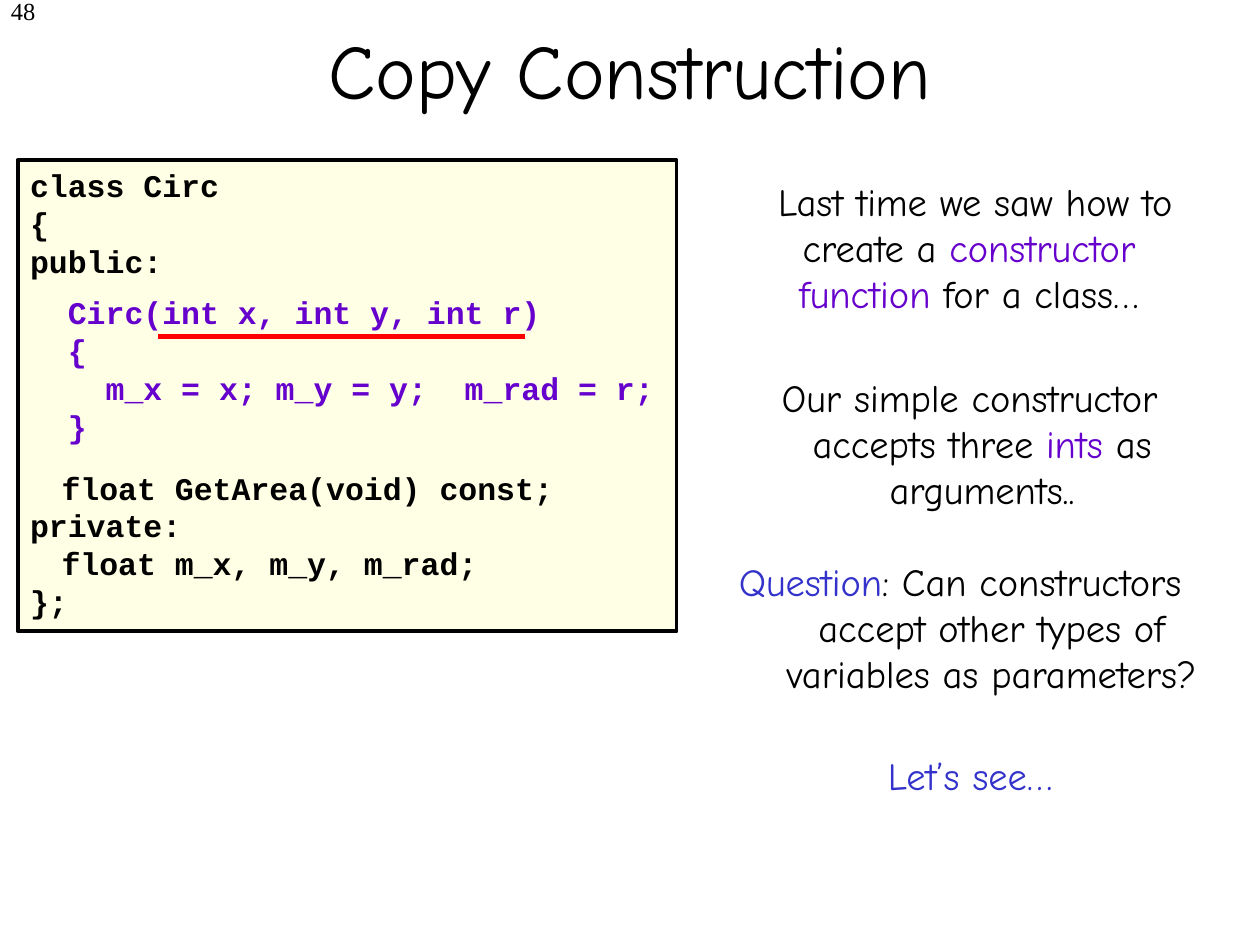
import pptx
import pptx.util
import pptx.dml.color
import pptx.enum.shapes
import pptx.enum.text
import pptx.oxml
from pptx.util import Inches, Pt

COLORS = {"black": "000000", "purple": "6600CC", "blue": "3333CC",
          "cream": "FFFFE5", "red": "FF0000"}
ALIGN = pptx.enum.text.PP_ALIGN
ANCHOR = pptx.enum.text.MSO_ANCHOR
SHAPES = pptx.enum.shapes.MSO_SHAPE
CHAR = 0.15  # width of one 18 pt code character, in inches


def rgb(name):
    return pptx.dml.color.RGBColor.from_string(COLORS[name])


def box(*lengths):
    return [Inches(v) for v in lengths]


class Deck:
    body_font, code_font, number_font = "Comic Neue", "Courier New", "Times New Roman"

    def __init__(self):
        self.prs = pptx.Presentation()
        self.prs.slide_width, self.prs.slide_height = box(10, 7.5)
        self.s = self.prs.slides.add_slide(self.prs.slide_layouts[5])

    def run(self, p, text, font, size, color="black", bold=False):
        r = p.add_run()
        r.text = text
        r.font.name, r.font.size, r.font.bold = font, Pt(size), bold
        r.font.color.rgb = rgb(color)

    def indent(self, p, left, first=0):
        pPr = p._p.get_or_add_pPr()
        pPr.set("marL", str(Inches(left)))
        pPr.set("indent", str(Inches(first)))

    def title(self, text, *at):
        sp = self.s.shapes.title
        sp.left, sp.top, sp.width, sp.height = box(*at)
        sp.text_frame.vertical_anchor = ANCHOR.MIDDLE
        p = sp.text_frame.paragraphs[0]
        p.alignment = ALIGN.CENTER
        self.run(p, text, self.body_font, 44)

    def textbox(self, *at):
        tf = self.s.shapes.add_textbox(*box(*at)).text_frame
        tf.word_wrap = True
        return tf

    def number(self, text, *at):
        p = self.textbox(*at).paragraphs[0]
        p.alignment = ALIGN.RIGHT
        self.run(p, text, self.number_font, 14)

    def remark(self, runs, *at, first=-0.5):
        """Centred comment; first is the indent of its first line."""
        p = self.textbox(*at).paragraphs[0]
        p.alignment = ALIGN.CENTER
        self.indent(p, 0.5, first)
        for text, color in runs:
            self.run(p, text, self.body_font, 22, color)

    def panel(self, *at):
        sp = self.s.shapes.add_shape(SHAPES.RECTANGLE, *box(*at))
        sp.shadow.inherit = False
        sp.fill.solid()
        sp.fill.fore_color.rgb = rgb("cream")
        sp.line.color.rgb = rgb("black")
        sp.line.width = Pt(2.25)
        sp.text_frame.word_wrap = True
        sp.text_frame.vertical_anchor = ANCHOR.TOP
        return sp.text_frame

    def code(self, tf, lines, color="black"):
        """Fill tf with (text, left indent, space before in points) lines."""
        tf.margin_right = 0
        for i, (text, left, before) in enumerate(lines):
            p = tf.add_paragraph() if i else tf.paragraphs[0]
            p.alignment = ALIGN.LEFT
            p.space_before = Pt(before)
            self.indent(p, left)
            self.run(p, text, self.code_font, 18, color, True)

    def underline(self, x1, x2, y):
        c = self.s.shapes.add_connector(
            pptx.enum.shapes.MSO_CONNECTOR.STRAIGHT, *box(x1, y, x2, y))
        c.line.color.rgb = rgb("red")
        c.line.width = Pt(3)
        c._element.spPr.append(pptx.oxml.parse_xml(
            '<a:effectLst xmlns:a="http://schemas.openxmlformats.org/drawingml/2006/main"/>'))


def main():
    d = Deck()
    d.number("48", -1.7, -0.08, 2.08, 0.5)
    d.title("Copy Construction", 0.75, -0.08, 8.5, 1.25)
    d.remark([("Last time we saw how to create a ", "black"),
              ("constructor function", "purple"),
              (" for a class…", "black")], 5.38, 1.36, 4.12, 1.21, first=0.1)

    d.code(d.panel(0.14, 1.27, 5.23, 3.74), [
        ("class Circ", 0, 0),
        ("{", 0, 0),
        ("public:", 0, 0),
        ("float GetArea(void) const;", 0.25, 108),  # room for the constructor
        ("private:", 0, 0),
        ("float m_x, m_y, m_rad;", 0.25, 0),
        ("};", 0, 0)])
    d.code(d.textbox(0.29, 2.28, 5, 1.3), [
        ("Circ(int x, int y, int r)", CHAR, 0),
        ("{", CHAR, 0),
        ("m_x = x; m_y = y;  m_rad = r;", 3 * CHAR, 0),
        ("}", CHAR, 0)], "purple")

    d.remark([("Our simple constructor accepts three ", "black"),
              ("ints", "purple"),
              (" as arguments..", "black")], 5.63, 2.92, 3.83, 1.21, first=-0.2)
    d.underline(1.25, 4.17, 2.67)
    d.remark([("Question", "blue"),
              (": Can constructors accept other types of variables as parameters?",
               "black")], 5.41, 4.38, 4.42, 1.2)
    d.remark([("Let’s see…", "blue")], 5.58, 5.92, 4.24, 0.47)
    d.prs.save("out.pptx")


if __name__ == "__main__":
    main()
